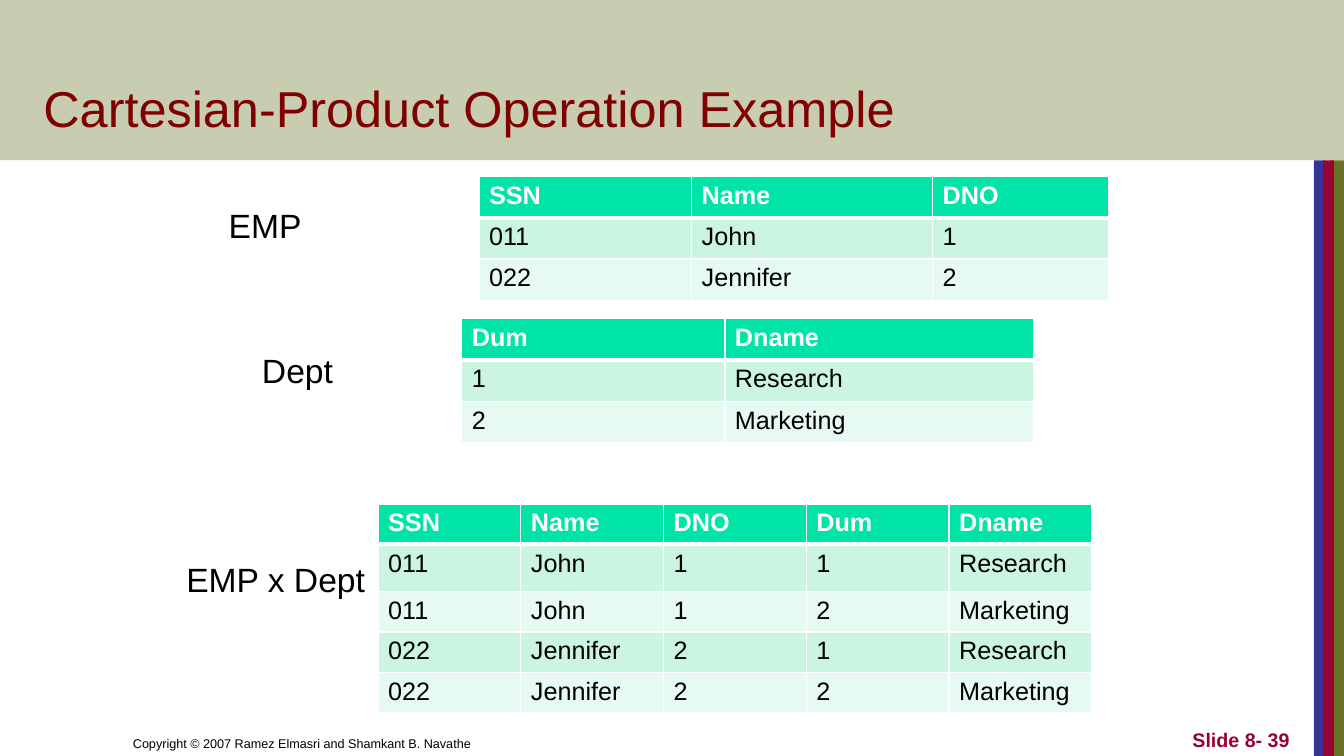
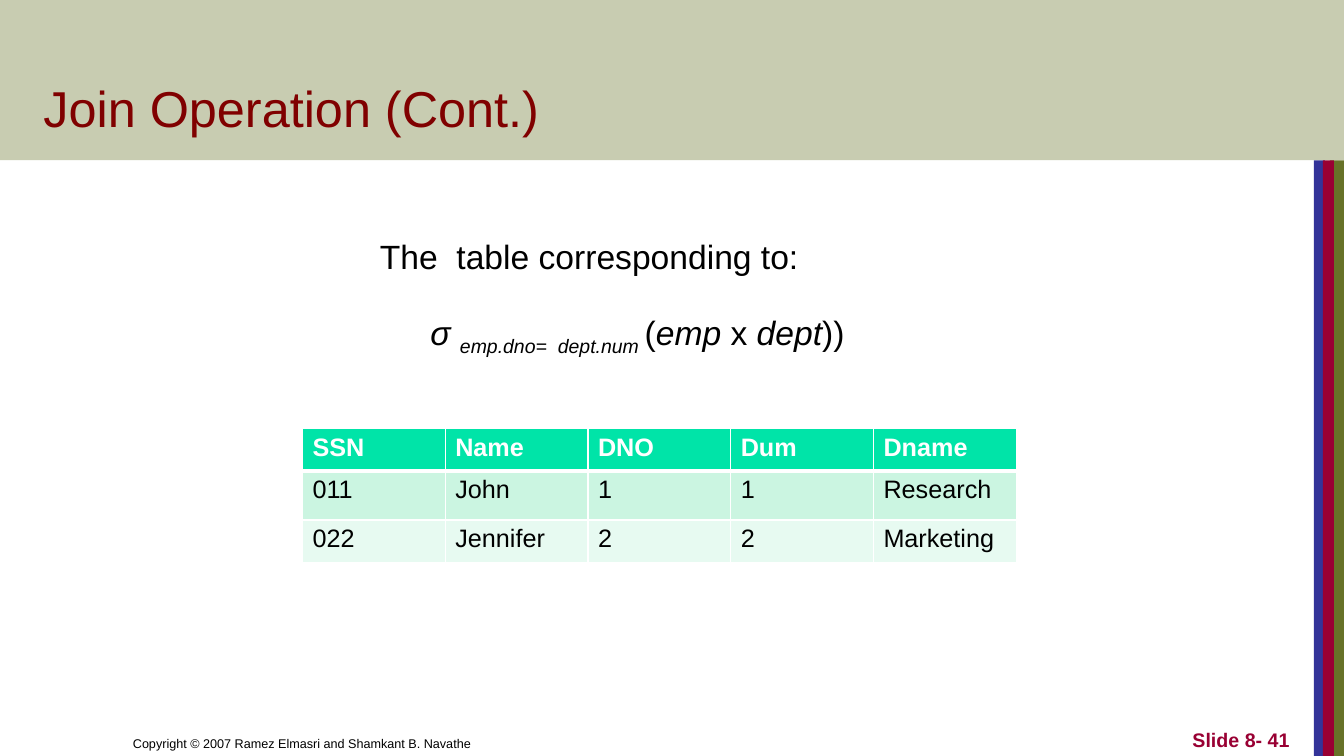
"""Two slides on the Cartesian product and join of relational tables."""
from lxml import etree
from pptx import Presentation, util as u
from pptx.dml.color import RGBColor
from pptx.enum import shapes, text
from pptx.oxml.ns import qn

FONT = "Arial"
OLIVE = RGBColor(0x67, 0x72, 0x28)
BLUE = RGBColor(0x33, 0x33, 0x99)
WINE = RGBColor(0x99, 0x00, 0x33)
MAROON = RGBColor(0x80, 0x00, 0x00)
BLACK = RGBColor(0, 0, 0)
WHITE = RGBColor(0xFF, 0xFF, 0xFF)
GREEN = RGBColor(0x00, 0xE4, 0xA8)
MINT = RGBColor(0xCB, 0xF5, 0xE1)
PALE = RGBColor(0xE7, 0xFA, 0xF1)

BANDS = [
    ((13.19, 1.59, 0.15, 5.91), OLIVE, None),
    ((13.03, 1.59, 0.11, 5.91), BLUE, None),
    ((13.12, 1.59, 0.11, 5.91), WINE, None),
    ((0, 0, 13.33, 1.59), OLIVE, 36),
]
RIGHTS = "Copyright © 2007 Ramez Elmasri and Shamkant B. Navathe"
HEAD = ["SSN", "Name", "DNO", "Dum", "Dname"]
FIVE = [7.08 / 5] * 5
ITALIC, SUB = {"italic": True}, {"italic": True, "sub": True}

SLIDES = [
    {
        "title": "Cartesian-Product Operation Example",
        "page": 39,
        "tables": [
            ((4.75, 1.75), [2.11, 2.39, 1.75], [0.41] * 3,
             [HEAD[:3], ["011", "John", "1"], ["022", "Jennifer", "2"]]),
            ((4.58, 3.16), [2.61, 3.06], [0.41] * 3,
             [HEAD[3:], ["1", "Research"], ["2", "Marketing"]]),
            ((3.75, 5), FIVE, [0.4, 0.47, 0.4, 0.4, 0.4],
             [HEAD,
              ["011", "John", "1", "1", "Research"],
              ["011", "John", "1", "2", "Marketing"],
              ["022", "Jennifer", "2", "1", "Research"],
              ["022", "Jennifer", "2", "2", "Marketing"]]),
        ],
        "labels": [
            ((2.17, 1.98, 0.93, 0.51), False, [("EMP", {})]),
            ((2.5, 3.42, 0.91, 0.51), False, [("Dept", {})]),
            ((1.75, 5.5, 2, 0.51), True, [("EMP x Dept", {})]),
        ],
    },
    {
        "title": "Join Operation (Cont.)",
        "page": 41,
        "tables": [
            ((3, 4.25), FIVE, [0.42, 0.49, 0.42],
             [HEAD,
              ["011", "John", "1", "1", "Research"],
              ["022", "Jennifer", "2", "2", "Marketing"]]),
        ],
        "labels": [
            ((3.67, 2.29, 4.4, 0.5), False,
             [("The  table corresponding to:", {})]),
            ((4.17, 3.04, 5, 0.91), True,
             [("σ ", ITALIC), ("emp.dno=  dept.num ", SUB), ("(", {}),
              ("emp ", ITALIC), ("x", {}), (" dept", ITALIC), ("))", {})]),
        ],
    },
]


def add_run(para, words, size, color, bold=False, italic=False, sub=False):
    run = para.add_run()
    run.text = words
    font = run.font
    font.name, font.size = FONT, u.Pt(size)
    font.bold, font.italic = bold, italic
    font.color.rgb = color
    if sub:
        font._element.set("baseline", "-25000")


def add_text(slide, place, wrap=True, low=False):
    box = slide.shapes.add_textbox(*map(u.Inches, place))
    frame = box.text_frame
    frame.word_wrap = wrap
    if low:
        frame.vertical_anchor = text.MSO_ANCHOR.BOTTOM
    return box, frame.paragraphs[0]


def add_band(slide, place, color, alpha):
    band = slide.shapes.add_shape(
        shapes.MSO_SHAPE.RECTANGLE, *map(u.Inches, place))
    band.shadow.inherit = False
    band.fill.solid()
    band.fill.fore_color.rgb = color
    band.line.fill.background()
    if alpha:
        tint = band._element.spPr.find(qn("a:solidFill"))[0]
        etree.SubElement(tint, qn("a:alpha"), val=str(alpha * 1000))
    return band


def share(slide, layout):
    parts = [add_band(slide, *band) for band in BANDS]
    box, para = add_text(slide, (1.22, 7, 6.56, 0.5), low=True)
    add_run(para, RIGHTS, 9, BLACK)
    for num, part in enumerate(parts + [box], 20):
        part._element.nvSpPr.cNvPr.set("id", str(num))
        layout.shapes._spTree.append(part._element)


def add_edges(cell, row):
    props = cell._tc.get_or_add_tcPr()
    thick = {"T": row == 1, "B": row == 0}
    for side in "LRTB":
        width = u.Pt(3 if thick.get(side) else 1)
        edge = etree.SubElement(props, qn("a:ln" + side), w=str(width))
        fill = etree.SubElement(edge, qn("a:solidFill"))
        etree.SubElement(fill, qn("a:srgbClr"), val=str(WHITE))


def add_grid(slide, place, cols, rows, data):
    size = (*place, sum(cols), sum(rows))
    grid = slide.shapes.add_table(
        len(rows), len(cols), *map(u.Inches, size)).table
    for col, width in zip(grid.columns, cols):
        col.width = u.Inches(width)
    for r, line in enumerate(data):
        grid.rows[r].height = u.Inches(rows[r])
        head = r == 0
        for c, words in enumerate(line):
            cell = grid.cell(r, c)
            add_edges(cell, r)
            cell.fill.solid()
            cell.fill.fore_color.rgb = GREEN if head else MINT if r % 2 else PALE
            add_run(cell.text_frame.paragraphs[0], words, 18,
                    WHITE if head else BLACK, bold=head)


def add_title(slide, words):
    title = slide.shapes.title
    title.left, title.top, title.width, title.height = map(
        u.Inches, (0.33, 0.33, 11.37, 1.09))
    title.text_frame.vertical_anchor = text.MSO_ANCHOR.BOTTOM
    para = title.text_frame.paragraphs[0]
    para.alignment = text.PP_ALIGN.LEFT
    add_run(para, words, 36, MAROON)


def main():
    deck = Presentation()
    deck.slide_width, deck.slide_height = u.Inches(13.33), u.Inches(7.5)
    layout = deck.slide_layouts[5]
    for num, data in enumerate(SLIDES):
        slide = deck.slides.add_slide(layout)
        if num == 0:
            share(slide, layout)
        add_title(slide, data["title"])
        for table in data["tables"]:
            add_grid(slide, *table)
        for place, wrap, runs in data["labels"]:
            para = add_text(slide, place, wrap)[1]
            for words, style in runs:
                add_run(para, words, 24, BLACK, **style)
        para = add_text(slide, (10.11, 7, 2.78, 0.5), low=True)[1]
        para.alignment = text.PP_ALIGN.RIGHT
        add_run(para, f"Slide 8- {data['page']}", 14, WINE, bold=True)
    deck.save("out.pptx")


if __name__ == "__main__":
    main()
